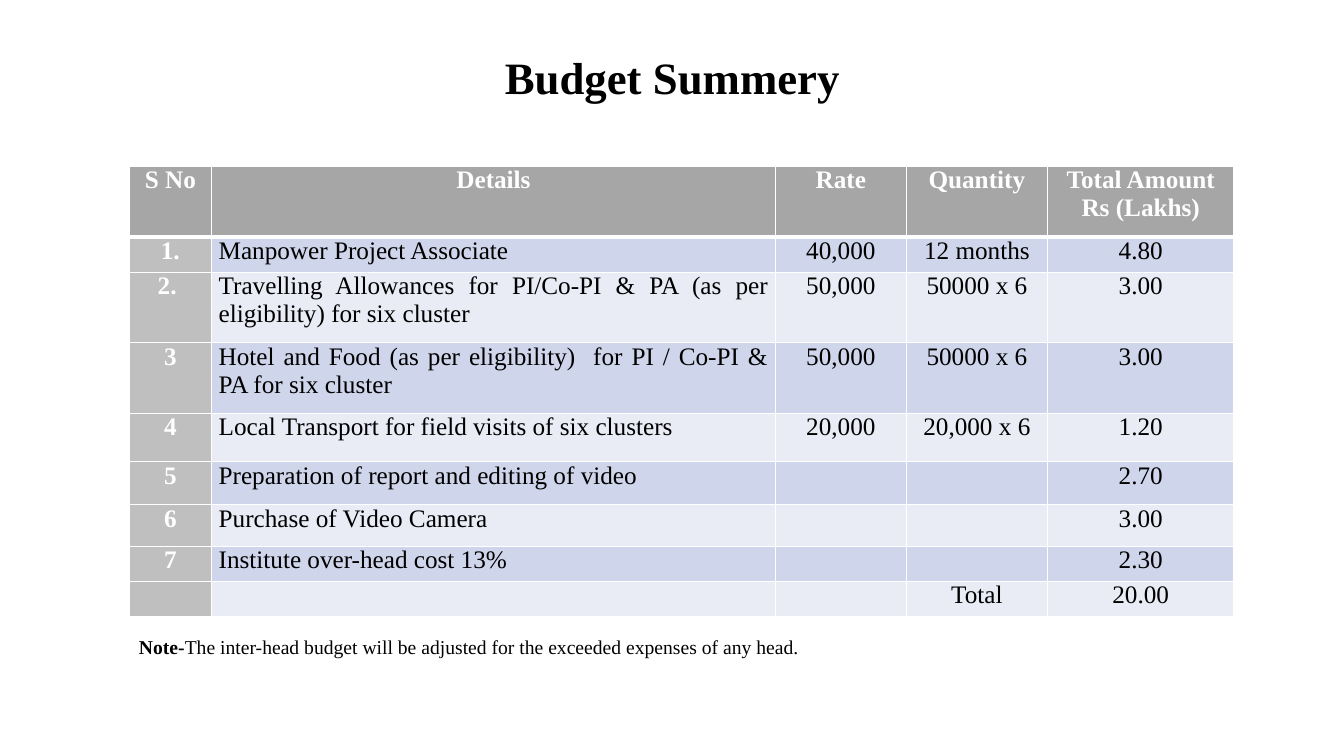
from dataclasses import dataclass

from lxml import etree
from pptx import Presentation
from pptx.dml.color import RGBColor
from pptx.enum.text import MSO_ANCHOR, MSO_AUTO_SIZE, PP_ALIGN
from pptx.oxml.ns import qn
from pptx.slide import Slide
from pptx.table import _Cell
from pptx.text.text import _Paragraph
from pptx.util import Inches, Pt

CENTER, JUSTIFY = PP_ALIGN.CENTER, PP_ALIGN.JUSTIFY
TOP = MSO_ANCHOR.TOP
GROW = MSO_AUTO_SIZE.SHAPE_TO_FIT_TEXT
SLIDE_WIDTH, SLIDE_HEIGHT = Inches(13.33), Inches(7.5)
TITLE_ONLY = 5


@dataclass(frozen=True)
class Theme:
    font: str = "Times New Roman"
    ink: str = "000000"
    white: str = "FFFFFF"
    header: str = "A6A6A6"
    serial: str = "BFBFBF"
    bands: tuple[str, str] = ("CFD5EA", "E9EBF5")
    title_size: int = 32
    table_size: int = 18
    note_size: int = 14
    rule: int = 1
    header_rule: int = 3


@dataclass(frozen=True)
class Box:
    """A frame in percent of the slide's width and height."""
    left: float
    top: float
    width: float
    height: float

    def frame(self) -> tuple[int, int, int, int]:
        return (across(self.left), down(self.top),
                across(self.width), down(self.height))


@dataclass(frozen=True)
class Column:
    heading: str
    width: float
    align: PP_ALIGN = CENTER


@dataclass(frozen=True)
class BudgetRow:
    height: float
    values: tuple[str, str, str, str, str]


THEME = Theme()
TITLE_BOX = Box(6.9, 5.33, 86.27, 19.33)
TABLE_BOX = Box(9.6, 22, 82.22, 59.6)
NOTE_BOX = Box(9.6, 82.93, 82.82, 4.67)
HEADER_HEIGHT = 9.33

COLUMNS = (
    Column("S No", 6.15),
    Column("Details", 41.94, JUSTIFY),
    Column("Rate", 9.75),
    Column("Quantity", 10.5),
    Column("Total Amount Rs (Lakhs)", 13.88),
)
BUDGET = (
    BudgetRow(4.67, ("1.", "Manpower Project Associate", "40,000", "12 months", "4.80")),
    BudgetRow(9.33, ("2. ", "Travelling Allowances for PI/Co-PI & PA (as per eligibility) for six cluster",
                     "50,000", "50000 x 6", "3.00")),
    BudgetRow(9.33, ("3", "Hotel and Food (as per eligibility)  for PI / Co-PI & PA for six cluster",
                     "50,000", "50000 x 6", "3.00")),
    BudgetRow(6.4, ("4", "Local Transport for field visits of six clusters",
                    "20,000", "20,000 x 6", "1.20")),
    BudgetRow(5.73, ("5", "Preparation of report and editing of video", "", "", "2.70")),
    BudgetRow(5.47, ("6", "Purchase of Video Camera", "", "", "3.00")),
    BudgetRow(4.67, ("7", "Institute over-head cost 13%", "", "", "2.30")),
    BudgetRow(4.67, ("", "", "", "Total", "20.00")),
)


def across(percent: float) -> int:
    return round(SLIDE_WIDTH * percent / 100)


def down(percent: float) -> int:
    return round(SLIDE_HEIGHT * percent / 100)


def add_run(paragraph: _Paragraph, text: str, size: int, color: str, bold: bool) -> None:
    run = paragraph.add_run()
    run.text = text
    run.font.name = THEME.font
    run.font.size = Pt(size)
    run.font.bold = bold
    run.font.color.rgb = RGBColor.from_string(color)


def add_borders(cell: _Cell, top: int, bottom: int) -> None:
    properties = cell._tc.get_or_add_tcPr()
    widths = {"a:lnL": THEME.rule, "a:lnR": THEME.rule, "a:lnT": top, "a:lnB": bottom}
    for side, width in widths.items():
        line = etree.SubElement(properties, qn(side), w=str(Pt(width)))
        fill = etree.SubElement(line, qn("a:solidFill"))
        etree.SubElement(fill, qn("a:srgbClr"), val=THEME.white)


def fill_cell(cell: _Cell, text: str, row: int, column: int) -> None:
    is_header, is_serial = row == 0, column == 0
    add_borders(cell,
                top=THEME.header_rule if row == 1 else THEME.rule,
                bottom=THEME.header_rule if is_header else THEME.rule)
    if is_header:
        background = THEME.header
    elif is_serial:
        background = THEME.serial
    else:
        background = THEME.bands[(row - 1) % 2]
    cell.fill.solid()
    cell.fill.fore_color.rgb = RGBColor.from_string(background)
    cell.margin_left = cell.margin_right = Inches(0.07)
    cell.margin_top = cell.margin_bottom = 0

    paragraph = cell.text_frame.paragraphs[0]
    paragraph.alignment = CENTER if is_header else COLUMNS[column].align
    if text:
        emphasis = is_header or is_serial
        add_run(paragraph, text, THEME.table_size,
                THEME.white if emphasis else THEME.ink, emphasis)


def add_title(slide: Slide) -> None:
    title = slide.shapes.title
    title.left, title.top, title.width, title.height = TITLE_BOX.frame()
    title.text_frame.vertical_anchor = TOP
    title.text_frame.margin_top = Inches(0.15)
    heading = title.text_frame.paragraphs[0]
    heading.alignment = CENTER
    heading.line_spacing = 0.9
    add_run(heading, "Budget Summery", THEME.title_size, THEME.ink, True)


def add_budget_table(slide: Slide) -> None:
    header = BudgetRow(HEADER_HEIGHT, tuple(column.heading for column in COLUMNS))
    rows = (header, *BUDGET)
    table = slide.shapes.add_table(len(rows), len(COLUMNS), *TABLE_BOX.frame()).table
    for grid_column, column in zip(table.columns, COLUMNS):
        grid_column.width = across(column.width)
    for row_index, row in enumerate(rows):
        table.rows[row_index].height = down(row.height)
        for column_index, text in enumerate(row.values):
            fill_cell(table.cell(row_index, column_index), text, row_index, column_index)


def add_note(slide: Slide) -> None:
    frame = slide.shapes.add_textbox(*NOTE_BOX.frame()).text_frame
    frame.word_wrap = True
    frame.auto_size = GROW
    note = frame.paragraphs[0]
    note.alignment = JUSTIFY
    note.line_spacing = 1.15
    add_run(note, "Note-", THEME.note_size, THEME.ink, True)
    add_run(note, "The inter-head budget will be adjusted for the exceeded expenses of any head.",
            THEME.note_size, THEME.ink, False)


def main() -> None:
    presentation = Presentation()
    presentation.slide_width, presentation.slide_height = SLIDE_WIDTH, SLIDE_HEIGHT
    slide = presentation.slides.add_slide(presentation.slide_layouts[TITLE_ONLY])
    add_title(slide)
    add_budget_table(slide)
    add_note(slide)
    presentation.save("out.pptx")


if __name__ == "__main__":
    main()
